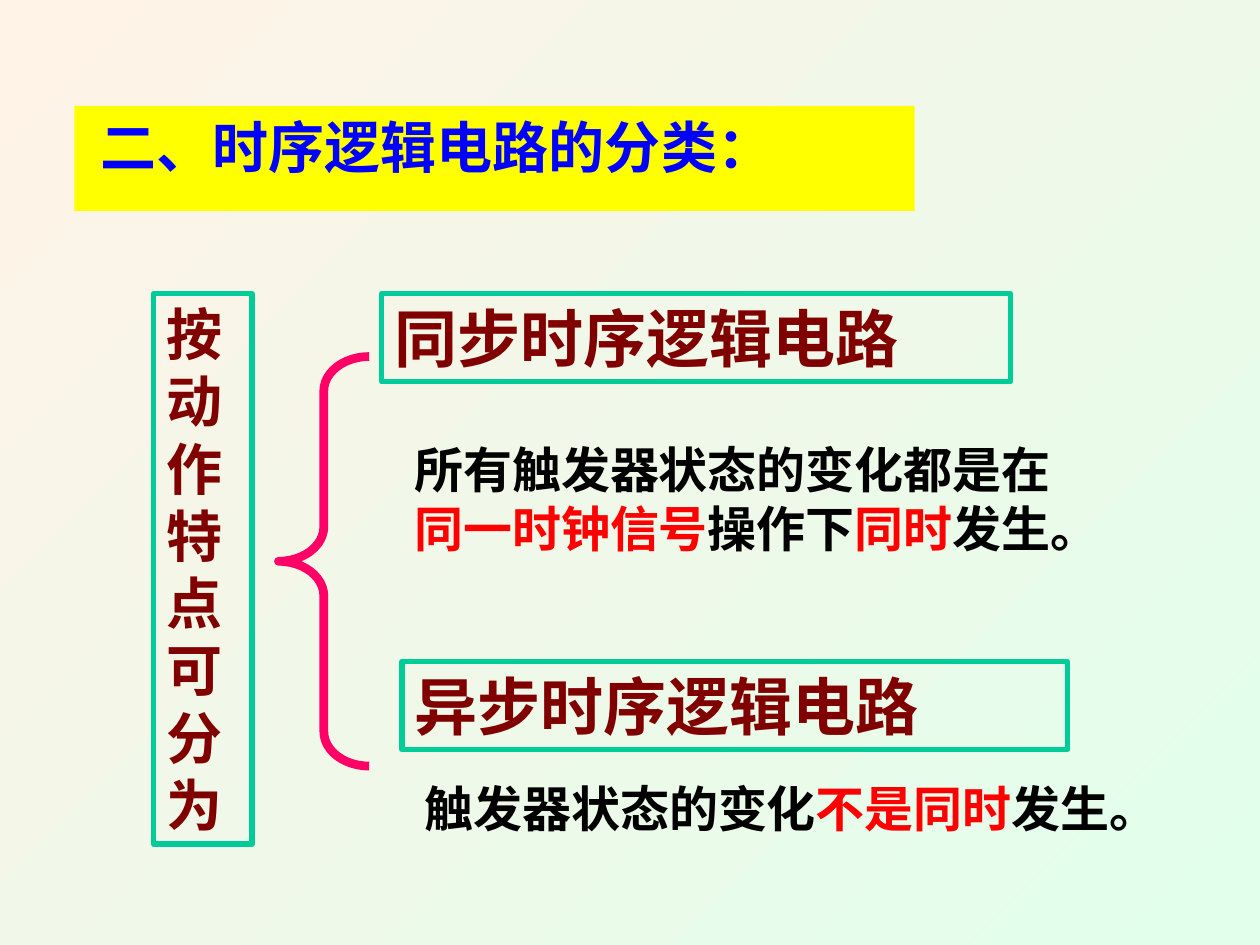
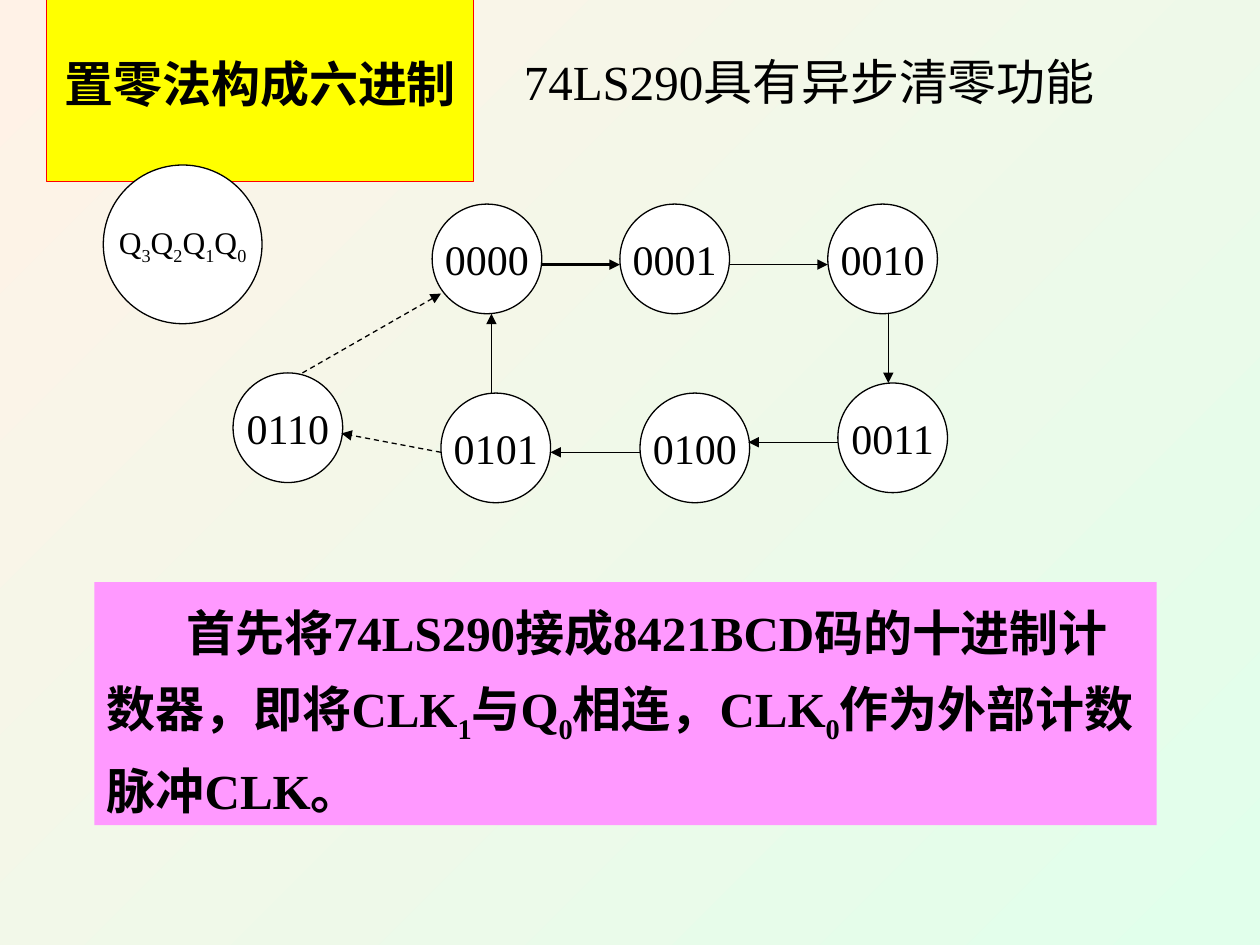
from dataclasses import dataclass

from lxml import etree
from pptx import Presentation
from pptx.dml.color import RGBColor
from pptx.enum import dml, shapes, text
from pptx.oxml import ns
from pptx.util import Inches, Pt


@dataclass(frozen=True)
class Theme:
    font: str = "Times New Roman"
    ink: str = "000000"
    blue: str = "0000FF"
    maroon: str = "800000"
    red: str = "FF0000"
    green: str = "00CC99"
    brace: str = "FF0066"
    yellow: str = "FFFF00"
    pink: str = "FF99FF"
    white: str = "FFFFFF"
    mint: str = "E1FFEB"
    cream: str = "FFF2E7"
    branch: int = 36
    heading: int = 32
    body: int = 28
    state: int = 24
    legend: int = 18


THEME = Theme()
LEFT, CENTER = text.PP_ALIGN.LEFT, text.PP_ALIGN.CENTER
TOP, MIDDLE = text.MSO_ANCHOR.TOP, text.MSO_ANCHOR.MIDDLE


def rgb(value):
    return RGBColor.from_string(value)


def paint(shape, fill=None, line=None, width=0.75):
    """Set fill and outline; None leaves either one empty."""
    if fill:
        shape.fill.solid()
        shape.fill.fore_color.rgb = rgb(fill)
    else:
        shape.fill.background()
    if line:
        shape.line.color.rgb = rgb(line)
        shape.line.width = Pt(width)
    else:
        shape.line.fill.background()


def write(shape, spans, size, color=THEME.ink, bold=True, align=LEFT,
          anchor=TOP, wrap=True, grow=True, before=0):
    """Fill one paragraph from spans: plain text, (text, colour) or (text, "sub")."""
    frame = shape.text_frame
    frame.word_wrap = wrap
    frame.vertical_anchor = anchor
    fit = text.MSO_AUTO_SIZE
    frame.auto_size = fit.SHAPE_TO_FIT_TEXT if grow else fit.NONE
    para = frame.paragraphs[0]
    para.alignment = align
    para.space_before = Pt(before)
    for span in spans:
        words, style = (span, None) if isinstance(span, str) else span
        run = para.add_run()
        run.text = words
        run.font.name = THEME.font
        run.font.size = Pt(size)
        run.font.bold = bold
        lowered = style == "sub"
        run.font.color.rgb = rgb(color if lowered or style is None else style)
        if lowered:
            run.font._element.set("baseline", "-25000")
    return para


def add_panel(page, kind, box, **paint_options):
    panel = page.shapes.add_shape(kind, *map(Inches, box))
    panel.shadow.inherit = False
    paint(panel, **paint_options)
    return panel


def add_note(page, box, spans, **options):
    note = page.shapes.add_textbox(*map(Inches, box))
    write(note, spans, THEME.body, **options)


def add_page(deck, title, box, size, color, line=None, **options):
    """Add a page whose title sits on a yellow band."""
    page = deck.slides.add_slide(deck.slide_layouts.get_by_name("Title Only"))
    band = page.shapes.title
    band.left, band.top, band.width, band.height = map(Inches, box)
    paint(band, THEME.yellow, line)
    write(band, [title], size, color, **options)
    return page, band


def set_background(deck):
    fill = deck.slide_master.background.fill
    fill.gradient()
    fill.gradient_angle = 135
    for stop, color in zip(fill.gradient_stops, (THEME.mint, THEME.cream)):
        stop.color.rgb = rgb(color)


def add_framed_label(page, box, label, size):
    frame = add_panel(page, shapes.MSO_SHAPE.RECTANGLE, box, line=THEME.green, width=3)
    write(frame, [label], size, THEME.maroon)


def add_brace(page, box):
    brace = add_panel(page, shapes.MSO_SHAPE.LEFT_BRACE, box, line=THEME.brace, width=5)
    brace.adjustments[0] = 0.38


def build_classification(deck):
    page, band = add_page(deck, "二、时序逻辑电路的分类：", (0.59, 0.84, 6.67, 0.64),
                          THEME.heading, THEME.blue)
    band.text_frame.margin_left = Inches(0.21)
    add_framed_label(page, (1.22, 2.33, 0.78, 4.37), "按动作特点可分为", THEME.heading)
    add_brace(page, (2.21, 2.83, 0.72, 3.25))
    add_framed_label(page, (3.03, 2.33, 4.99, 0.7), "同步时序逻辑电路", THEME.branch)
    add_framed_label(page, (3.19, 5.25, 5.28, 0.7), "异步时序逻辑电路", THEME.branch)
    add_note(page, (3.19, 3.44, 5.52, 1.04),
             ["所有触发器状态的变化都是在", ("同一时钟信号", THEME.red), "操作下",
              ("同时", THEME.red), "发生。"])
    add_note(page, (3.27, 6.13, 6.02, 0.57),
             ["触发器状态的变化", ("不是同时", THEME.red), "发生。"], wrap=False)


def add_state(page, left, top, diameter, spans, size):
    circle = add_panel(page, shapes.MSO_SHAPE.OVAL, (left, top, diameter, diameter),
                       fill=THEME.white, line=THEME.ink)
    write(circle, spans, size, bold=False, align=CENTER, anchor=MIDDLE,
          wrap=False, grow=False)


def add_arrow(page, start, end, width=0.75, dashed=False):
    arrow = page.shapes.add_connector(shapes.MSO_CONNECTOR.STRAIGHT,
                                      *map(Inches, (*start, *end)))
    arrow.line.color.rgb = rgb(THEME.ink)
    arrow.line.width = Pt(width)
    if dashed:
        arrow.line.dash_style = dml.MSO_LINE.DASH
    outline = arrow.line._get_or_add_ln()
    etree.SubElement(outline, ns.qn("a:tailEnd"), type="triangle")
    etree.SubElement(arrow._element.spPr, ns.qn("a:effectLst"))


def add_state_cycle(page, left, top):
    """Draw the counting loop, with its transient state, from its top left corner."""
    diameter = 0.87
    states = {
        "0000": (1.58, 0), "0001": (3.07, 0), "0010": (4.72, 0),
        "0011": (4.8, 1.42), "0100": (3.23, 1.5), "0101": (1.65, 1.5),
        "0110": (0, 1.34),
    }
    for code, (across, down) in states.items():
        add_state(page, left + across, top + down, diameter, [code], THEME.state)

    arrows = [
        ((2.44, 0.48), (3.07, 0.48), 1.5, False),
        ((3.94, 0.48), (4.72, 0.48), 0.75, False),
        ((5.2, 0.87), (5.2, 1.42), 0.75, False),
        ((4.8, 1.89), (4.09, 1.89), 0.75, False),
        ((3.23, 1.97), (2.52, 1.97), 0.75, False),
        ((2.05, 1.5), (2.05, 0.87), 0.75, False),
        ((1.65, 1.97), (0.86, 1.82), 0.75, True),
        ((0.55, 1.34), (1.65, 0.71), 0.75, True),
    ]
    for start, end, width, dashed in arrows:
        add_arrow(page, (left + start[0], top + start[1]),
                  (left + end[0], top + end[1]), width, dashed)


def add_explanation(page, box):
    panel = add_panel(page, shapes.MSO_SHAPE.RECTANGLE, box, fill=THEME.pink)
    para = write(panel, ["首先将74LS290接成8421BCD码的十进制计数器，即将CLK", ("1", "sub"),
                         "与Q", ("0", "sub"), "相连，CLK", ("0", "sub"),
                         "作为外部计数脉冲CLK。"], THEME.body, before=17.5)
    para.line_spacing = 1.25
    para._p.get_or_add_pPr().set("indent", str(Inches(0.63)))


def build_modulo_six(deck):
    page, _ = add_page(deck, "置零法构成六进制 ", (0.37, 0.37, 3.39, 0.57), THEME.body,
                       THEME.ink, line=THEME.red, align=CENTER, anchor=MIDDLE, wrap=False)
    add_note(page, (4.06, 0.36, 5.2, 0.57), ["74LS290具有异步清零功能"], bold=False)
    legend = [part for digit in "3210" for part in ("Q", (digit, "sub"))]
    add_state(page, 0.82, 1.31, 1.26, legend, THEME.legend)
    add_state_cycle(page, 1.85, 1.62)
    add_explanation(page, (0.75, 4.62, 8.43, 1.93))


def main():
    deck = Presentation()
    deck.slide_width, deck.slide_height = Inches(10), Inches(7.5)
    set_background(deck)
    build_classification(deck)
    build_modulo_six(deck)
    deck.save("out.pptx")


if __name__ == "__main__":
    main()
